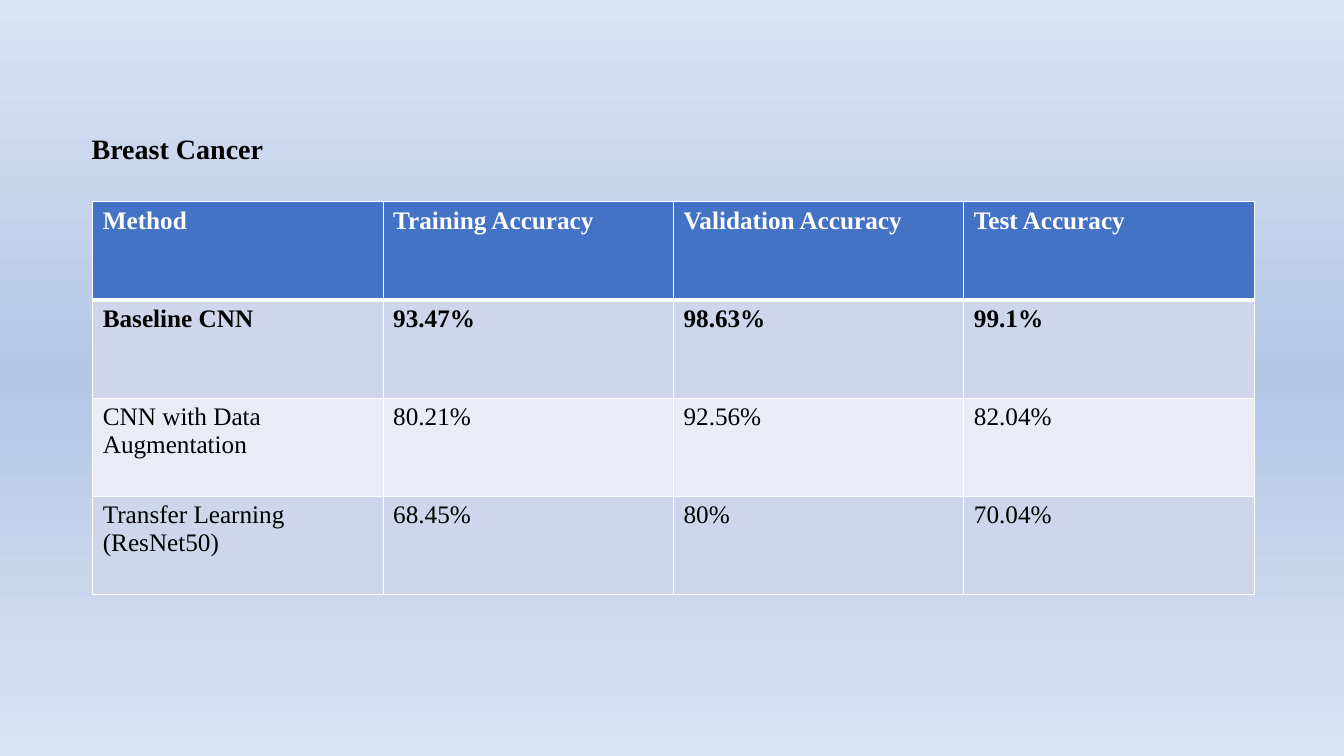
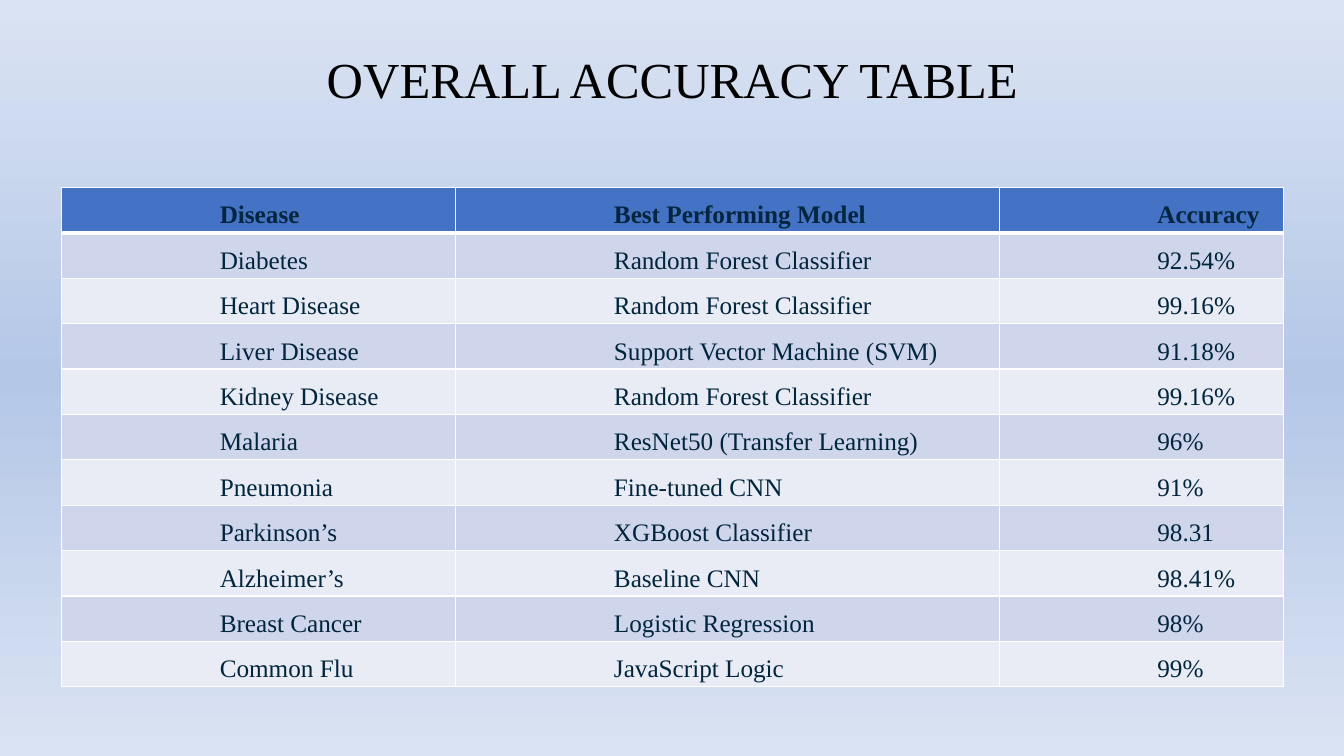
import copy

import pptx
import pptx.dml.color
import pptx.enum.text
import pptx.oxml
import pptx.oxml.ns
import pptx.util

Inches = pptx.util.Inches
Pt = pptx.util.Pt
FONT = "Times New Roman"
BLACK = "000000"
WHITE = "FFFFFF"
NAVY = "00263E"
HEADER_BLUE = "4472C4"
BAND_FILLS = ["E9EBF5", "CFD5EA"]
BACKGROUND_STOPS = ["DAE3F3", "B4C7E7", "DAE3F3"]
LEFT = pptx.enum.text.PP_ALIGN.LEFT
CENTER = pptx.enum.text.PP_ALIGN.CENTER


def color(hex_string):
    return pptx.dml.color.RGBColor.from_string(hex_string)


def add_border(cell, side, width):
    border = pptx.oxml.parse_xml(
        f'<a:{side} {pptx.oxml.ns.nsdecls("a")} w="{Pt(width)}"><a:solidFill>'
        f'<a:srgbClr val="{WHITE}"/></a:solidFill></a:{side}>'
    )
    cell._tc.get_or_add_tcPr().append(border)


slides = [
    {
        "title": "Breast Cancer",
        "title_box": (0.81, 1.14, 11.61, 0.71),
        "title_size": 20,
        "title_bold": True,
        "title_align": LEFT,
        "table_box": (0.92, 2, 11.5, 3.9),
        "columns": [2.88] * 4,
        "margins": (0.1, 0.05),
        "indent": 0,
        "line_spacing": 1.0,
        "space_after": 0,
        "header_color": WHITE,
        "body_color": BLACK,
        "bold_rows": [0, 1],
        "rows": [
            ["Method", "Training Accuracy", "Validation Accuracy", "Test Accuracy"],
            ["Baseline CNN", "93.47%", "98.63%", "99.1%"],
            ["CNN with Data Augmentation", "80.21%", "92.56%", "82.04%"],
            ["Transfer Learning (ResNet50)", "68.45%", "80%", "70.04%"],
        ],
    },
    {
        "title": "OVERALL ACCURACY TABLE",
        "title_box": (0.92, 0.09, 11.5, 1.45),
        "title_size": 36,
        "title_bold": False,
        "title_align": CENTER,
        "table_box": (0.61, 1.86, 12.12, 4.46),
        "columns": [3.91, 5.39, 2.82],
        "margins": (0.07, 0),
        "indent": 1.5,
        "line_spacing": 1.5,
        "space_after": 8,
        "header_color": NAVY,
        "body_color": NAVY,
        "bold_rows": [0],
        "rows": [
            ["Disease", "Best Performing Model", "Accuracy"],
            ["Diabetes", "Random Forest Classifier", "92.54%"],
            ["Heart Disease", "Random Forest Classifier", "99.16%"],
            ["Liver Disease", "Support Vector Machine (SVM)", "91.18%"],
            ["Kidney Disease", "Random Forest Classifier", "99.16%"],
            ["Malaria", "ResNet50 (Transfer Learning)", "96%"],
            ["Pneumonia", "Fine-tuned CNN", "91%"],
            ["Parkinson’s", "XGBoost Classifier", "98.31"],
            ["Alzheimer’s", "Baseline CNN", "98.41%"],
            ["Breast Cancer", "Logistic Regression", "98%"],
            ["Common Flu", "JavaScript Logic", "99%"],
        ],
    },
]

presentation = pptx.Presentation()
presentation.slide_width = Inches(13.33)
presentation.slide_height = Inches(7.5)

for content in slides:
    slide = presentation.slides.add_slide(presentation.slide_layouts[6])

    background = slide.background.fill
    background.gradient()
    background.gradient_angle = 270
    stop_list = slide.element.find(".//" + pptx.oxml.ns.qn("a:gsLst"))
    stop_list.append(copy.deepcopy(stop_list[0]))
    for index, stop in enumerate(background.gradient_stops):
        stop.position = index / 2
        stop.color.rgb = color(BACKGROUND_STOPS[index])

    title = slide.shapes.add_textbox(*map(Inches, content["title_box"]))
    title.text_frame.word_wrap = True
    title.text_frame.vertical_anchor = pptx.enum.text.MSO_ANCHOR.MIDDLE
    title.text_frame.text = content["title"]
    paragraph = title.text_frame.paragraphs[0]
    paragraph.alignment = content["title_align"]
    paragraph.line_spacing = 0.9
    font = paragraph.runs[0].font
    font.name = FONT
    font.size = Pt(content["title_size"])
    font.bold = content["title_bold"]
    font.color.rgb = color(BLACK)

    rows = content["rows"]
    table = slide.shapes.add_table(
        len(rows), len(rows[0]), *map(Inches, content["table_box"])
    ).table
    for column, width in zip(table.columns, content["columns"]):
        column.width = Inches(width)

    side_margin, end_margin = map(Inches, content["margins"])
    for row_index, row in enumerate(rows):
        is_header = row_index == 0
        for column_index, text in enumerate(row):
            cell = table.cell(row_index, column_index)
            cell.margin_left = cell.margin_right = side_margin
            cell.margin_top = cell.margin_bottom = end_margin
            add_border(cell, "lnL", 1)
            add_border(cell, "lnR", 1)
            add_border(cell, "lnT", 3 if row_index == 1 else 1)
            add_border(cell, "lnB", 3 if is_header else 1)
            cell.fill.solid()
            cell.fill.fore_color.rgb = color(
                HEADER_BLUE if is_header else BAND_FILLS[row_index % 2]
            )
            cell.text_frame.text = text
            paragraph = cell.text_frame.paragraphs[0]
            paragraph.line_spacing = content["line_spacing"]
            paragraph.space_after = Pt(content["space_after"])
            paragraph._p.get_or_add_pPr().set("marL", str(Inches(content["indent"])))
            font = paragraph.runs[0].font
            font.name = FONT
            font.size = Pt(18)
            font.bold = row_index in content["bold_rows"]
            font.color.rgb = color(content["header_color" if is_header else "body_color"])

presentation.save("out.pptx")
